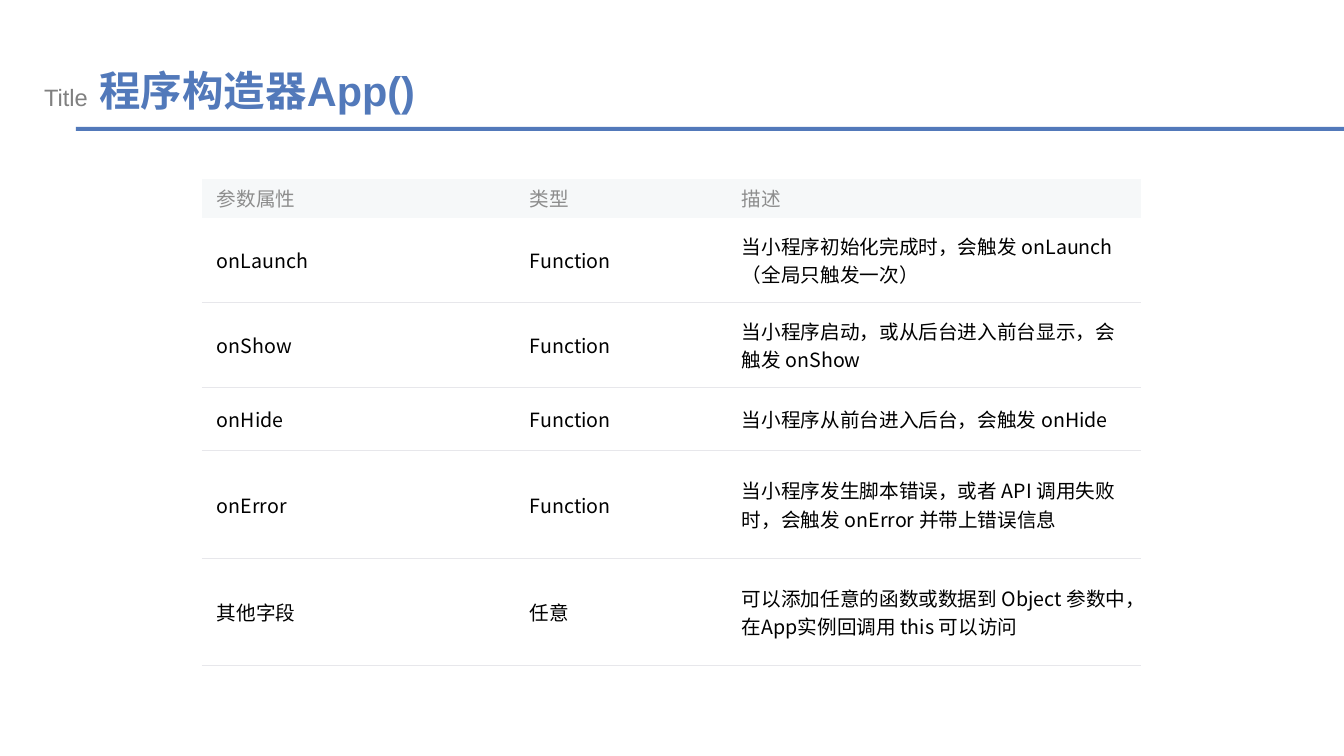
"""Build a slide that lists the parameters of the App() constructor."""
import dataclasses
import typing

import lxml.etree
import pptx
import pptx.dml.color
import pptx.enum.shapes
import pptx.enum.text
import pptx.oxml.ns
import pptx.util

EMU_PER_PIXEL = 914400 / 100.8
COLORS = {"accent": "5279BA", "label": "808080", "heading": "8D8D8D", "header_fill": "F6F8F9",
          "body": "000000", "body_fill": "FFFFFF", "rule": "E7E7EB"}
LATIN_FONT = "Arial"
CJK_FONT = "Noto Sans CJK SC"
COLUMN_WIDTHS = (313, 212, 414)
TABLE_LEFT, TABLE_TOP = 202, 179


@dataclasses.dataclass(frozen=True)
class ParameterRow:
    """One row of the parameter table, with its look."""
    height: int
    name: str
    kind: str
    description: str
    color: str = "body"
    fill: str = "body_fill"
    padding: int = 9
    rules: tuple[str, ...] = ("lnT", "lnB")


ROWS = (
    ParameterRow(32, "参数属性", "类型", "描述", "heading", "header_fill", 5, ()),
    ParameterRow(85, "onLaunch", "Function",
                 "当小程序初始化完成时，会触发 onLaunch（全局只触发一次）", rules=("lnB",)),
    ParameterRow(85, "onShow", "Function", "当小程序启动，或从后台进入前台显示，会触发 onShow"),
    ParameterRow(63, "onHide", "Function", "当小程序从前台进入后台，会触发 onHide"),
    ParameterRow(108, "onError", "Function",
                 "当小程序发生脚本错误，或者 API 调用失败时，会触发 onError 并带上错误信息"),
    ParameterRow(107, "其他字段", "任意",
                 "可以添加任意的函数或数据到 Object 参数中，在App实例回调用 this 可以访问"),
)


def px(length: float) -> pptx.util.Emu:
    """Convert pixels to EMU."""
    return pptx.util.Emu(round(length * EMU_PER_PIXEL))


def rgb(color: str) -> pptx.dml.color.RGBColor:
    """Look up a named colour."""
    return pptx.dml.color.RGBColor.from_string(COLORS[color])


def add_text(paragraph: typing.Any, text: str, *, size: float, color: str,
             font: str = CJK_FONT, bold: bool = False) -> None:
    """Append a formatted run to a paragraph."""
    run = paragraph.add_run()
    run.text = text
    run.font.size = pptx.util.Pt(size)
    run.font.name = font
    run.font.bold = bold
    run.font.color.rgb = rgb(color)
    east_asian = lxml.etree.Element(pptx.oxml.ns.qn("a:ea"), typeface=CJK_FONT)
    run.font._element.find(pptx.oxml.ns.qn("a:latin")).addnext(east_asian)


def set_borders(cell: typing.Any, rules: tuple[str, ...]) -> None:
    """Draw the named sides of a cell and clear the others."""
    properties = cell._tc.get_or_add_tcPr()
    for position, side in enumerate(("lnL", "lnR", "lnT", "lnB")):
        line = lxml.etree.Element(pptx.oxml.ns.qn(f"a:{side}"), w=str(pptx.util.Pt(0.75)))
        if side in rules:
            fill = lxml.etree.SubElement(line, pptx.oxml.ns.qn("a:solidFill"))
            lxml.etree.SubElement(fill, pptx.oxml.ns.qn("a:srgbClr"), val=COLORS["rule"])
        else:
            lxml.etree.SubElement(line, pptx.oxml.ns.qn("a:noFill"))
        properties.insert(position, line)


def fill_cell(cell: typing.Any, text: str, row: ParameterRow) -> None:
    """Write and format one table cell."""
    cell.fill.solid()
    cell.fill.fore_color.rgb = rgb(row.fill)
    cell.vertical_anchor = pptx.enum.text.MSO_ANCHOR.MIDDLE
    cell.margin_left = cell.margin_right = px(15)
    cell.margin_top = cell.margin_bottom = px(row.padding)
    add_text(cell.text_frame.paragraphs[0], text, size=14, color=row.color)
    set_borders(cell, row.rules)


def add_underline(slide: typing.Any) -> None:
    """Draw the bar below the title."""
    underline = slide.shapes.add_shape(pptx.enum.shapes.MSO_SHAPE.RECTANGLE,
                                       px(76), px(127), px(1268), px(4))
    underline.shadow.inherit = False
    underline.fill.solid()
    underline.fill.fore_color.rgb = rgb("accent")
    underline.line.fill.background()


def write_title(slide: typing.Any) -> None:
    """Place the title and its small label."""
    title = slide.shapes.title
    title.left, title.top, title.width, title.height = px(34), px(60), px(1083), px(60)
    frame = title.text_frame
    frame.auto_size = pptx.enum.text.MSO_AUTO_SIZE.NONE
    frame.vertical_anchor = pptx.enum.text.MSO_ANCHOR.MIDDLE
    frame.margin_left = frame.margin_right = px(10)
    frame.margin_top = frame.margin_bottom = 0
    heading = frame.paragraphs[0]
    heading.alignment = pptx.enum.text.PP_ALIGN.LEFT
    add_text(heading, "Title", size=16.9, color="label", font=LATIN_FONT)
    add_text(heading, " ", size=29.6, color="body", font=LATIN_FONT)
    add_text(heading, "程序构造器App()", size=29.6, color="accent", font=LATIN_FONT, bold=True)


def add_parameters(slide: typing.Any) -> None:
    """Build the parameter table."""
    parameters = slide.shapes.add_table(
        len(ROWS), len(COLUMN_WIDTHS), px(TABLE_LEFT), px(TABLE_TOP),
        px(sum(COLUMN_WIDTHS)), px(sum(row.height for row in ROWS))).table
    parameters.horz_banding = False
    parameters.first_row = False
    for column, width in zip(parameters.columns, COLUMN_WIDTHS):
        column.width = px(width)
    for table_row, row in zip(parameters.rows, ROWS):
        table_row.height = px(row.height)
        for cell, text in zip(table_row.cells, (row.name, row.kind, row.description)):
            fill_cell(cell, text, row)


def main() -> None:
    """Assemble and save the presentation."""
    presentation = pptx.Presentation()
    presentation.slide_width, presentation.slide_height = px(1344), px(756)
    slide = presentation.slides.add_slide(presentation.slide_layouts[5])
    add_underline(slide)
    write_title(slide)
    add_parameters(slide)
    presentation.save("out.pptx")


main()
